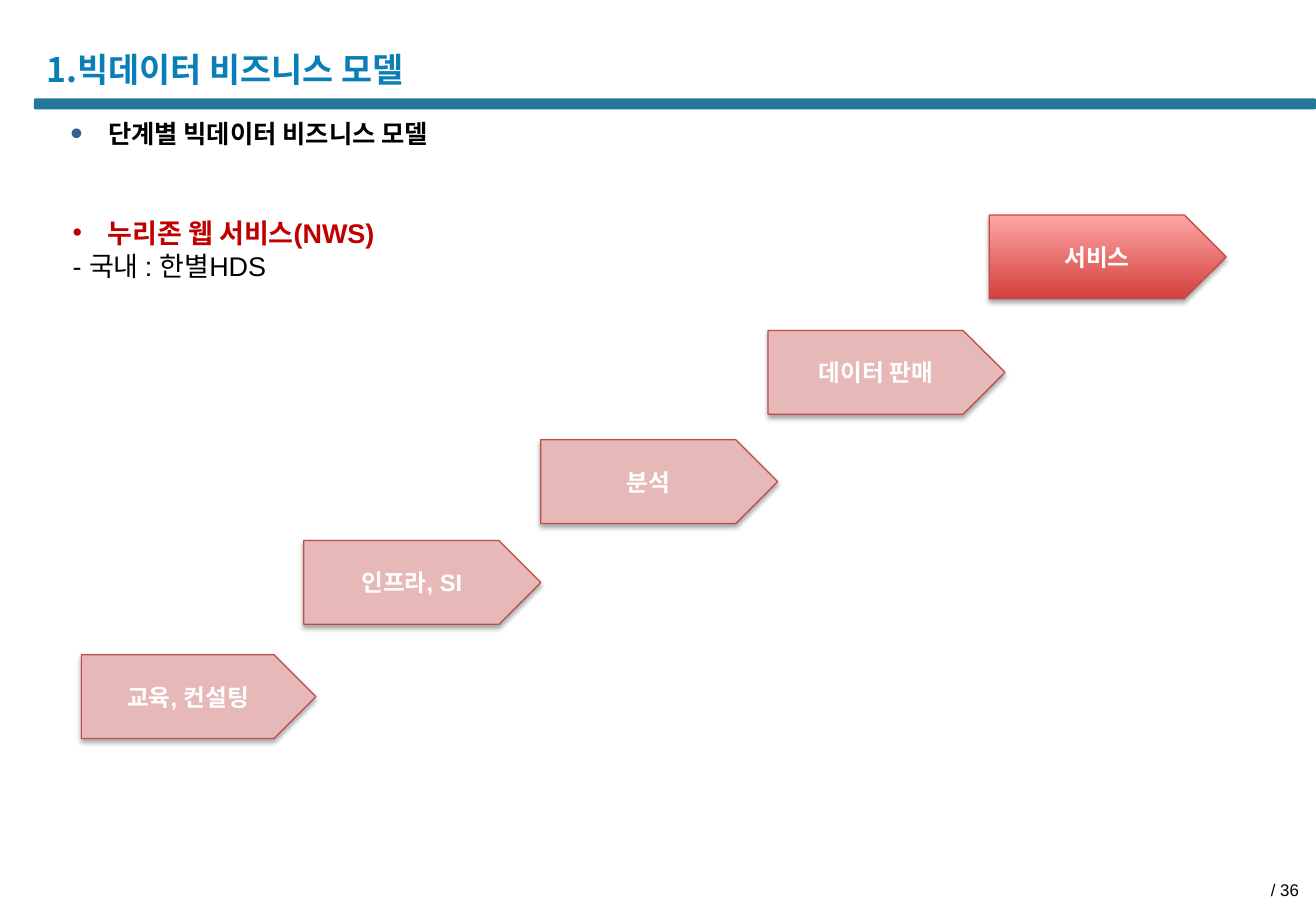
from lxml import etree
from pptx import Presentation
from pptx.dml.color import RGBColor
from pptx.enum.shapes import MSO_SHAPE
from pptx.enum.text import MSO_ANCHOR, MSO_AUTO_SIZE, PP_ALIGN
from pptx.oxml.ns import qn
from pptx.util import Inches, Pt

LEFT, CENTER, RIGHT = PP_ALIGN.LEFT, PP_ALIGN.CENTER, PP_ALIGN.RIGHT
TOP, MIDDLE = MSO_ANCHOR.TOP, MSO_ANCHOR.MIDDLE
NO_AUTOFIT = MSO_AUTO_SIZE.NONE
BAR, STEP = MSO_SHAPE.ROUNDED_RECTANGLE, MSO_SHAPE.PENTAGON


def rgb(value):
    return RGBColor.from_string(value)


def add_xml(parent, tag, **attributes):
    return etree.SubElement(parent, qn(tag), attributes)


class StepSlide:
    latin = "Arial"
    korean = "Noto Sans CJK KR"
    title_color, bar_color = "0A7FB7", "22779B"
    text_color, accent = "000000", "C00000"
    step_fill, step_line = "E6B9B8", "BF4C48"
    active_gradient = ("D1403C", "FFA6A5")

    def __init__(self, deck):
        self.slide = deck.slides.add_slide(deck.slide_layouts[1])
        self.shapes = self.slide.shapes

    def place(self, shape, left, top, width, height):
        shape.left, shape.top = Inches(left), Inches(top)
        shape.width, shape.height = Inches(width), Inches(height)

    def frame(self, shape, margins, anchor=TOP):
        """Set wrapping, anchor and the left, top, right, bottom margins."""
        frame = shape.text_frame
        frame.word_wrap = True
        frame.auto_size = NO_AUTOFIT
        frame.vertical_anchor = anchor
        (frame.margin_left, frame.margin_top,
         frame.margin_right, frame.margin_bottom) = map(Inches, margins)
        return frame

    def set_text(self, paragraph, text, size, color, bold=False, align=LEFT,
                 latin=None, line=None):
        paragraph.text = text
        paragraph.alignment = align
        paragraph.space_before = Pt(0)
        if line:
            paragraph.line_spacing = Pt(line)
        font = paragraph.font
        font.size, font.bold = Pt(size), bold
        font.color.rgb = rgb(color)
        font.name = latin or self.latin
        defaults = paragraph._p.pPr.find(qn("a:defRPr"))
        add_xml(defaults, "a:ea", typeface=self.korean)

    def bullet(self, paragraph, indent, color, percent):
        properties = paragraph._p.get_or_add_pPr()
        properties.set("marL", str(Inches(indent)))
        properties.set("indent", str(-Inches(indent)))
        bullet_color = add_xml(properties, "a:buClr")
        add_xml(bullet_color, "a:srgbClr", val=color)
        add_xml(properties, "a:buSzPct", val=str(percent * 1000))
        add_xml(properties, "a:buFont", typeface=self.latin)
        add_xml(properties, "a:buChar", char="•")

    def title(self, text):
        heading = self.shapes.title
        self.place(heading, 0.28, 0.33, 6.42, 0.47)
        frame = self.frame(heading, (0.1, 0, 0.1, 0), MIDDLE)
        self.set_text(frame.paragraphs[0], text, 20, self.title_color, True,
                      latin=self.korean)

    def title_bar(self):
        bar = self.shapes.add_shape(BAR, Inches(0.28), Inches(0.81),
                                    Inches(10.55), Inches(0.09))
        bar.adjustments[0] = 0.13
        bar.shadow.inherit = False
        bar.fill.solid()
        bar.fill.fore_color.rgb = rgb(self.bar_color)
        bar.line.fill.background()

    def topic(self, text):
        body = self.slide.placeholders[1]
        self.place(body, 0.58, 0.97, 7.13, 0.25)
        paragraph = self.frame(body, (0, 0, 0, 0)).paragraphs[0]
        self.bullet(paragraph, 0.31, "376092", 140)
        self.set_text(paragraph, text, 15, self.text_color, True, line=18)

    def text_box(self, left, top, width, height, margins):
        box = self.shapes.add_textbox(Inches(left), Inches(top),
                                      Inches(width), Inches(height))
        return self.frame(box, margins)

    def examples(self, leader, domestic):
        frame = self.text_box(0.5, 1.73, 3.81, 0.64, (0.1, 0.05, 0.1, 0.05))
        first = frame.paragraphs[0]
        self.bullet(first, 0.29, self.accent, 100)
        self.set_text(first, leader, 16, self.accent, True, line=19.4)
        self.set_text(frame.add_paragraph(), domestic, 16, self.text_color,
                      line=19.4)

    def page_count(self, text):
        frame = self.text_box(8.3, 7.19, 2.53, 0.23, (0.1, 0.05, 0.14, 0))
        self.set_text(frame.paragraphs[0], text, 10, self.text_color,
                      align=RIGHT)

    def drop_shadow(self, shape):
        shape.shadow.inherit = False
        effects = shape._element.spPr.find(qn("a:effectLst"))
        shadow = add_xml(effects, "a:outerShdw", blurRad=str(Pt(3.1)),
                         dist=str(Pt(1.8)), dir="5400000", rotWithShape="0")
        color = add_xml(shadow, "a:srgbClr", val="000000")
        add_xml(color, "a:alpha", val="35000")

    def step(self, text, left, top, width, active):
        arrow = self.shapes.add_shape(STEP, Inches(left), Inches(top),
                                      Inches(width), Inches(0.69))
        if active:
            arrow.fill.gradient()
            arrow.fill.gradient_angle = 90
            for stop, color in zip(arrow.fill.gradient_stops,
                                   self.active_gradient):
                stop.color.rgb = rgb(color)
        else:
            arrow.fill.solid()
            arrow.fill.fore_color.rgb = rgb(self.step_fill)
        arrow.line.color.rgb = rgb(self.step_line)
        arrow.line.width = Pt(0.75)
        self.drop_shadow(arrow)
        frame = self.frame(arrow, (0.1, 0, 0.1, 0), MIDDLE)
        self.set_text(frame.paragraphs[0], text, 14, "FFFFFF", True, CENTER)


def main():
    deck = Presentation()
    deck.slide_width, deck.slide_height = Inches(10.83), Inches(7.5)
    page = StepSlide(deck)
    page.title_bar()
    page.title("1.빅데이터 비즈니스 모델")
    page.page_count("/ 36")
    page.topic("단계별 빅데이터 비즈니스 모델")
    steps = [
        ("교육, 컨설팅", 0.67, 5.39, 1.93),
        ("인프라, SI", 2.5, 4.45, 1.95),
        ("분석", 4.45, 3.62, 1.95),
        ("데이터 판매", 6.32, 2.72, 1.95),
        ("서비스", 8.14, 1.77, 1.95),
    ]
    for text, left, top, width in steps:
        page.step(text, left, top, width, active=text == "서비스")
    page.examples("누리존 웹 서비스(NWS)", "- 국내 : 한별HDS")
    deck.save("out.pptx")


if __name__ == "__main__":
    main()
